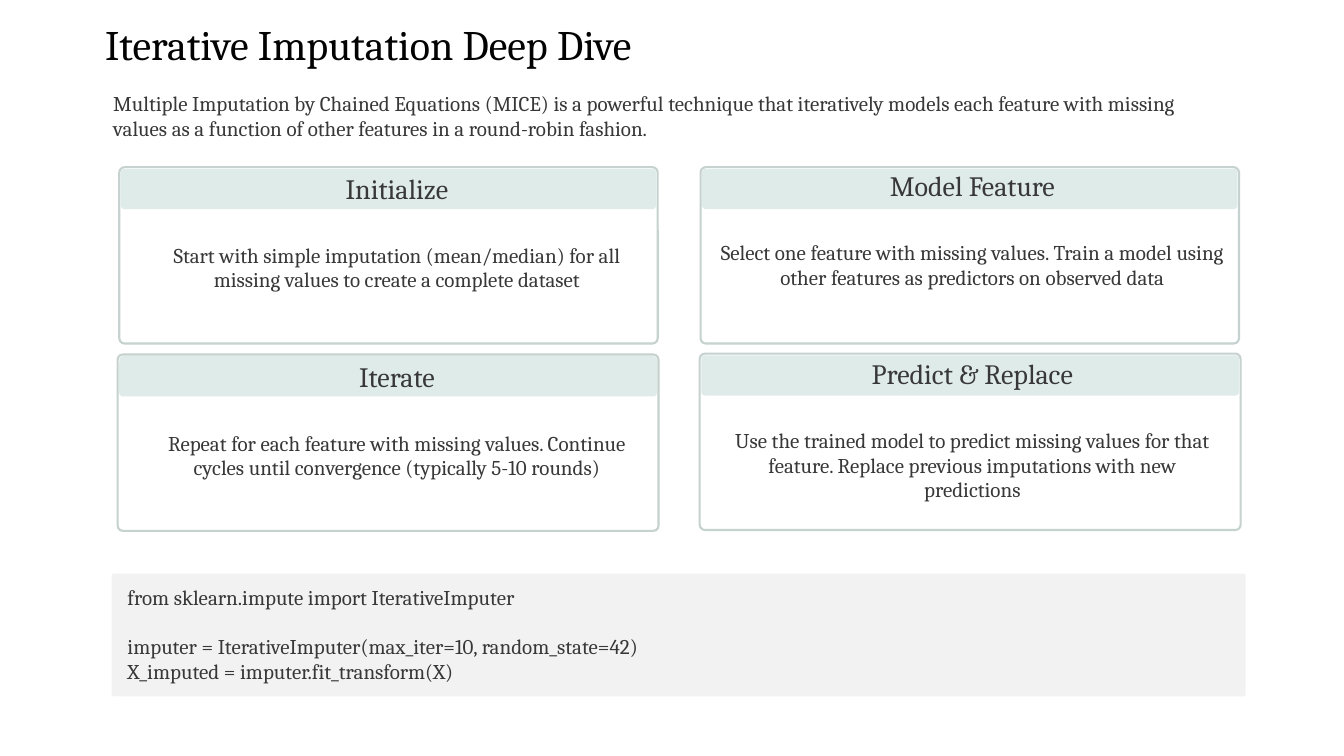
from pptx import Presentation
from pptx.dml.color import RGBColor
from pptx.enum import shapes, text
from pptx.util import Inches, Pt


def colour(hex_code):
    return RGBColor.from_string(hex_code)


def write(paragraph, words, size, spacing, align=text.PP_ALIGN.LEFT, ink="383838"):
    paragraph.alignment = align
    paragraph.line_spacing = Pt(spacing)
    run = paragraph.add_run()
    run.text = words
    run.font.name = "Cambria"
    run.font.size = Pt(size)
    run.font.color.rgb = colour(ink)


deck = Presentation()
deck.slide_width, deck.slide_height = Inches(16), Inches(9)
slide = deck.slides.add_slide(deck.slide_layouts[5])

title = slide.shapes.title
title.left, title.top = Inches(1.25), Inches(-0.02)
title.width, title.height = Inches(14.5), Inches(0.84)
heading = title.text_frame
heading.word_wrap = True
heading.auto_size = text.MSO_AUTO_SIZE.NONE
heading.vertical_anchor = text.MSO_ANCHOR.TOP
heading.margin_left = heading.margin_right = heading.margin_bottom = 0
heading.margin_top = Inches(0.24)
write(heading.paragraphs[0], "Iterative Imputation Deep Dive", 36, 43.5, ink="020202")

intro = slide.shapes.add_textbox(Inches(1.25), Inches(1.04), Inches(13.5), Inches(0.69)).text_frame
intro.word_wrap = True
write(intro.paragraphs[0],
      "Multiple Imputation by Chained Equations (MICE) is a powerful technique that "
      "iteratively models each feature with missing values as a function of other "
      "features in a round-robin fashion.", 18, 21)

steps = [
    ("Initialize", 1.42, 1.99, 6.41, 1.89, 2.14, 5.67,
     "Start with simple imputation (mean/median) for all missing values to create a "
     "complete dataset"),
    ("Model Feature", 8.34, 1.99, 6.41, 8.58, 2.11, 5.99,
     "Select one feature with missing values. Train a model using other features as "
     "predictors on observed data"),
    ("Iterate", 1.4, 4.22, 6.44, 1.89, 4.38, 5.67,
     "Repeat for each feature with missing values. Continue cycles until convergence "
     "(typically 5-10 rounds)"),
    ("Predict & Replace", 8.33, 4.21, 6.44, 8.58, 4.35, 5.99,
     "Use the trained model to predict missing values for that feature. Replace "
     "previous imputations with new predictions"),
]
rounded = shapes.MSO_SHAPE.ROUNDED_RECTANGLE
for name, left, top, width, text_left, text_top, text_width, detail in steps:
    card = slide.shapes.add_shape(rounded, Inches(left), Inches(top), Inches(width), Inches(2.1))
    card.adjustments[0] = 0.03
    card.shadow.inherit = False
    card.fill.background()
    card.line.color.rgb = colour("C5D2CF")
    card.line.width = Pt(1.8)

    band = slide.shapes.add_shape(rounded, Inches(left + 0.02), Inches(top + 0.02),
                                  Inches(width - 0.04), Inches(0.48))
    band.adjustments[0] = 0.09
    band.shadow.inherit = False
    band.fill.solid()
    band.fill.fore_color.rgb = colour("DFEBE9")
    band.line.fill.background()

    step = slide.shapes.add_textbox(Inches(text_left), Inches(text_top),
                                    Inches(text_width), Inches(1.7)).text_frame
    step.word_wrap = True
    step.margin_left = step.margin_right = step.margin_top = step.margin_bottom = 0
    write(step.paragraphs[0], name, 24, 21.5, text.PP_ALIGN.CENTER)
    explanation = step.add_paragraph()
    explanation.space_before = Pt(32.5)
    write(explanation, detail, 18, 21, text.PP_ALIGN.CENTER)

code_panel = slide.shapes.add_shape(rounded, Inches(1.33), Inches(6.83), Inches(13.5), Inches(1.46))
code_panel.adjustments[0] = 0.02
code_panel.shadow.inherit = False
code_panel.fill.solid()
code_panel.fill.fore_color.rgb = colour("F2F2F2")
code_panel.line.fill.background()
code = code_panel.text_frame
code.word_wrap = True
code.vertical_anchor = text.MSO_ANCHOR.TOP
code.margin_left, code.margin_top = Inches(0.18), Inches(0.13)
code.margin_right = code.margin_bottom = 0
write(code.paragraphs[0], "from sklearn.impute import IterativeImputer", 18, 21)
for statement, gap in [("imputer = IterativeImputer(max_iter=10, random_state=42)", 21),
                       ("X_imputed = imputer.fit_transform(X)", 0)]:
    code_line = code.add_paragraph()
    code_line.space_before = Pt(gap)
    write(code_line, statement, 18, 21)

deck.save("out.pptx")
